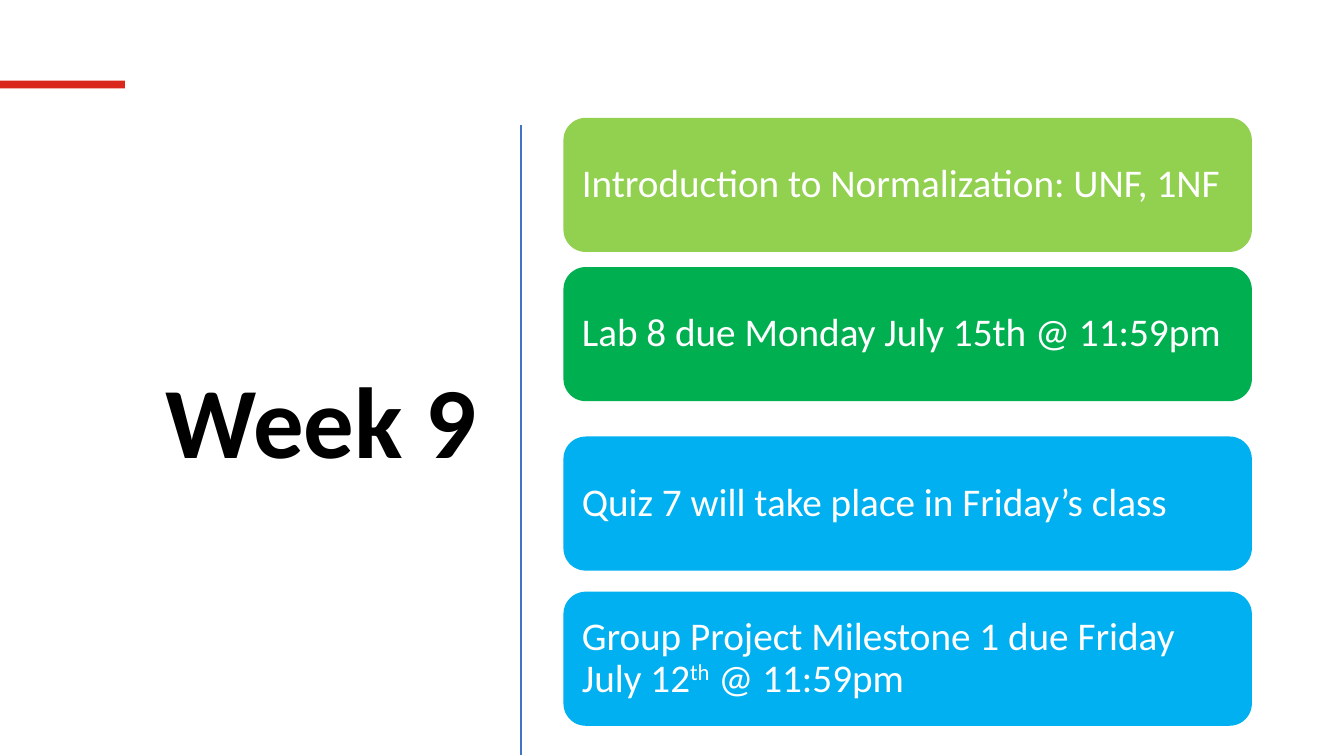
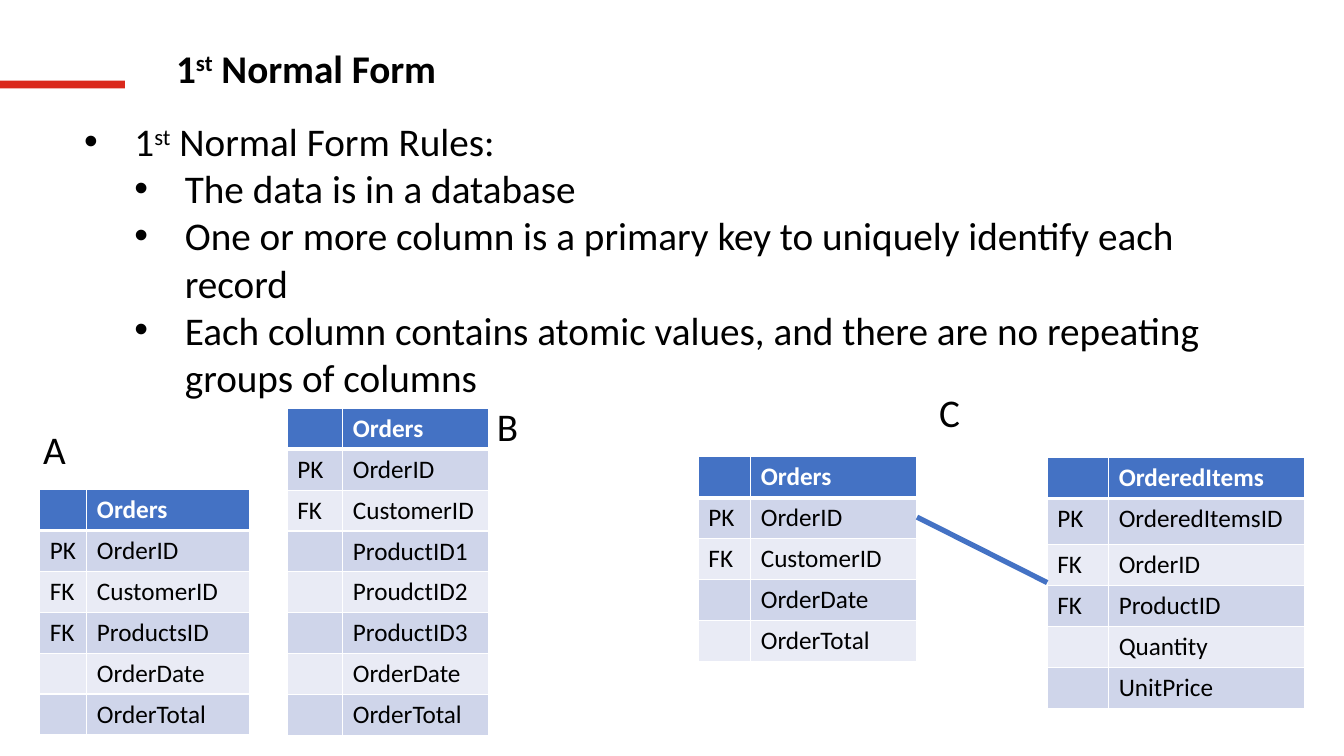
import pptx
import pptx.dml.color
import pptx.enum.shapes
import pptx.enum.text
import pptx.oxml
import pptx.oxml.ns
import pptx.util

Cm = pptx.util.Cm
Pt = pptx.util.Pt
ANCHOR = pptx.enum.text.MSO_ANCHOR
ALIGN = pptx.enum.text.PP_ALIGN
SHAPE = pptx.enum.shapes.MSO_SHAPE


def color(value):
    return pptx.dml.color.RGBColor.from_string(value)


class Deck:
    font = "Calibri"
    black = "000000"
    white = "FFFFFF"
    red = "DA291C"
    blue = "4472C4"
    bands = ("CFD5EA", "E9EBF5")
    row_height = 1.03

    def __init__(self):
        self.presentation = pptx.Presentation()
        self.presentation.slide_width = Cm(33.87)
        self.presentation.slide_height = Cm(19.05)
        self.slide = None

    def new_slide(self):
        self.slide = self.presentation.slides.add_slide(self.presentation.slide_layouts[6])
        self.box(SHAPE.RECTANGLE, 0, 2.03, 3.15, 0.2, self.red)

    def add_runs(self, paragraph, text, size=28, ink=black, bold=False):
        for index, part in enumerate(text.split("^")):
            run = paragraph.add_run()
            run.text = part
            run.font.name = self.font
            run.font.size = Pt(size)
            run.font.bold = bold
            run.font.color.rgb = color(ink)
            if index % 2:
                run.font._element.set("baseline", "30000")

    def box(self, kind, left, top, width, height, fill):
        shape = self.slide.shapes.add_shape(kind, Cm(left), Cm(top), Cm(width), Cm(height))
        shape.shadow.inherit = False
        shape.fill.solid()
        shape.fill.fore_color.rgb = color(fill)
        shape.line.fill.background()
        return shape

    def card(self, left, top, width, height, fill, text):
        frame = self.box(SHAPE.ROUNDED_RECTANGLE, left, top, width, height, fill).text_frame
        frame.word_wrap = True
        frame.vertical_anchor = ANCHOR.MIDDLE
        frame.margin_left = frame.margin_right = Cm(0.3)
        frame.margin_top = frame.margin_bottom = Cm(0.3)
        paragraph = frame.paragraphs[0]
        paragraph.alignment = ALIGN.LEFT
        paragraph.line_spacing = 0.9
        self.add_runs(paragraph, text, ink=self.white)

    def text(self, left, top, width, height, text, **style):
        shape = self.slide.shapes.add_textbox(Cm(left), Cm(top), Cm(width), Cm(height))
        frame = shape.text_frame
        frame.word_wrap = True
        if text:
            self.add_runs(frame.paragraphs[0], text, **style)
        return frame

    def bullets(self, left, top, width, height, items):
        frame = self.text(left, top, width, height, "")
        for index, (level, text) in enumerate(items):
            paragraph = frame.add_paragraph() if index else frame.paragraphs[0]
            paragraph.level = level
            properties = paragraph._p.get_or_add_pPr()
            properties.set("marL", str(Cm(1.57 + 1.27 * level)))
            properties.set("indent", str(Cm(-1.27)))
            namespace = pptx.oxml.ns.nsdecls("a")
            for tag in ('buFont %s typeface="Arial"', 'buChar %s char="•"'):
                properties.append(pptx.oxml.parse_xml(f"<a:{tag % namespace}/>"))
            self.add_runs(paragraph, text)

    def line(self, start, end, width):
        connector = self.slide.shapes.add_connector(
            pptx.enum.shapes.MSO_CONNECTOR.STRAIGHT, *(Cm(value) for value in start + end))
        connector.line.color.rgb = color(self.blue)
        connector.line.width = Pt(width)
        effects = f'<a:effectLst {pptx.oxml.ns.nsdecls("a")}/>'
        connector._element.spPr.append(pptx.oxml.parse_xml(effects))

    def borders(self, cell, bottom):
        properties = cell._tc.get_or_add_tcPr()
        for side, width in (("L", 1), ("R", 1), ("T", 1), ("B", bottom)):
            properties.append(pptx.oxml.parse_xml(
                f'<a:ln{side} {pptx.oxml.ns.nsdecls("a")} w="{Pt(width)}"><a:solidFill>'
                f'<a:srgbClr val="{self.white}"/></a:solidFill></a:ln{side}>'))

    def entity(self, left, top, widths, name, fields, first_height=row_height):
        rows = [("", name)] + fields
        heights = [self.row_height, first_height] + [self.row_height] * (len(rows) - 2)
        table = self.slide.shapes.add_table(
            len(rows), 2, Cm(left), Cm(top), Cm(sum(widths)), Cm(sum(heights))).table
        for column, width in zip(table.columns, widths):
            column.width = Cm(width)
        for number, values in enumerate(rows):
            header = number == 0
            table.rows[number].height = Cm(heights[number])
            for cell, value in zip(table.rows[number].cells, values):
                self.borders(cell, 3 if header else 1)
                cell.fill.solid()
                cell.fill.fore_color.rgb = color(self.blue if header else self.bands[(number - 1) % 2])
                if value:
                    self.add_runs(cell.text_frame.paragraphs[0], value, 18,
                                  self.white if header else self.black, header)


def week_slide(deck):
    deck.new_slide()
    frame = deck.text(1.32, 2.97, 10.95, 15.52, "Week 9", size=72, bold=True)
    frame.vertical_anchor = ANCHOR.MIDDLE
    heading = frame.paragraphs[0]
    heading.alignment = ALIGN.RIGHT
    heading.line_spacing = 0.9
    heading.space_after = Pt(6)
    deck.line((13.13, 3.15), (13.13, 19.02), 2)
    for top, fill, text in (
        (2.97, "92D050", "Introduction to Normalization: UNF, 1NF"),
        (6.73, "00B050", "Lab 8 due Monday July 15th @ 11:59pm"),
        (11, "00B0F0", "Quiz 7 will take place in Friday’s class"),
        (14.91, "00B0F0", "Group Project Milestone 1 due Friday July 12^th^ @ 11:59pm"),
    ):
        deck.card(14.2, top, 17.35, 3.38, fill, text)


def normal_form_slide(deck):
    deck.new_slide()
    deck.text(4.19, 0.99, 28, 1.45, "1^st^ Normal Form", bold=True)
    deck.bullets(1.57, 2.84, 30.28, 7.44, [
        (0, "1^st^ Normal Form Rules:"),
        (1, "The data is in a database"),
        (1, "One or more column is a primary key to uniquely identify each record"),
        (1, "Each column contains atomic values, and there are no repeating groups of columns"),
    ])
    keys = [("PK", "OrderID"), ("FK", "CustomerID")]
    totals = [("", "OrderDate"), ("", "OrderTotal")]
    products = [("", "ProductID1"), ("", "ProudctID2"), ("", "ProductID3")]
    deck.entity(1, 12.34, (1.19, 4.09), "Orders", keys + [("FK", "ProductsID")] + totals)
    deck.entity(7.24, 10.29, (1.4, 3.68), "Orders", keys + products + totals)
    deck.entity(17.6, 11.51, (1.32, 4.19), "Orders", keys + totals)
    deck.entity(26.39, 11.53, (1.55, 4.93), "OrderedItems", [
        ("PK", "OrderedItemsID"), ("FK", "OrderID"), ("FK", "ProductID"),
        ("", "Quantity"), ("", "UnitPrice")], 1.17)
    deck.line((23.11, 13.03), (26.39, 14.68), 3.75)
    for letter, left, top in (("A", 0.53, 10.59), ("B", 11.96, 10.01), ("C", 23.11, 9.65)):
        frame = deck.text(left, top, 2.62, 1.45, letter)
        frame.margin_left = Cm(0.56)


def main():
    deck = Deck()
    week_slide(deck)
    normal_form_slide(deck)
    deck.presentation.save("out.pptx")


if __name__ == "__main__":
    main()
